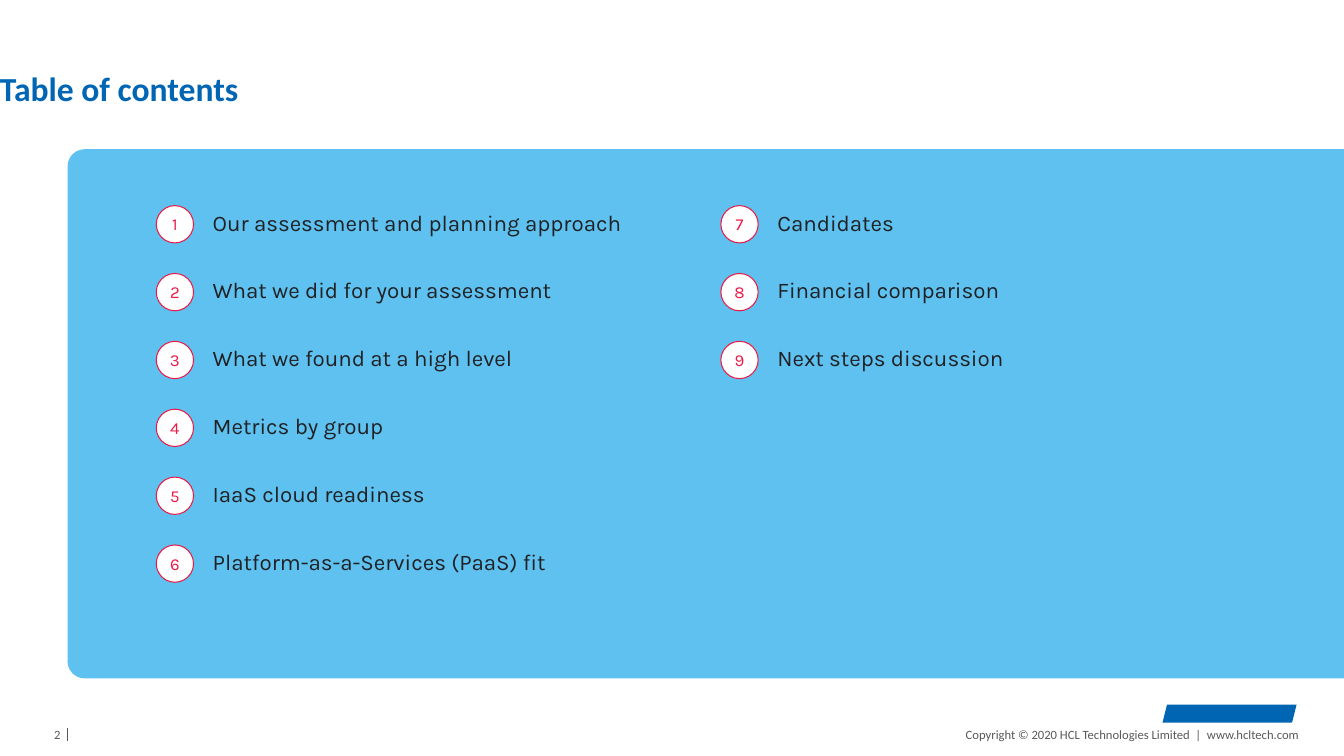
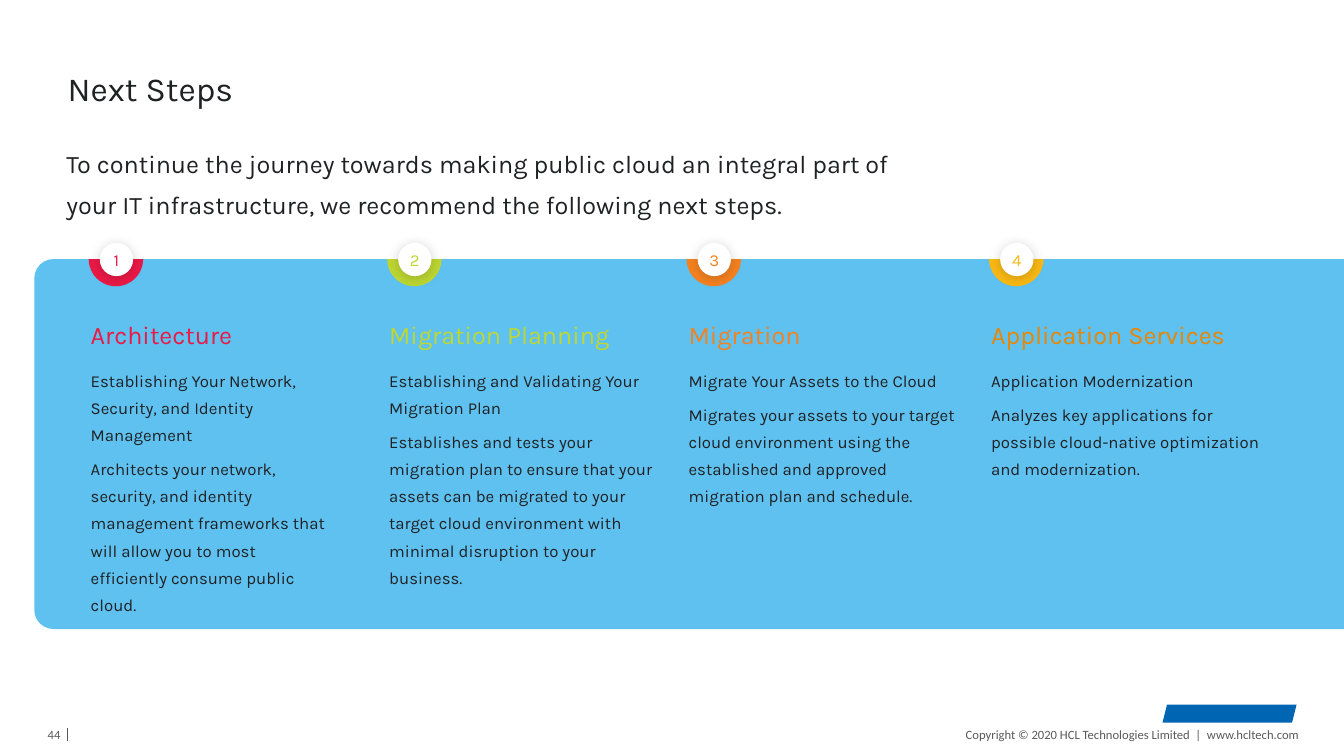
from lxml import etree
from pptx import Presentation
from pptx.dml.color import RGBColor
from pptx.enum.shapes import MSO_CONNECTOR as LINE, MSO_SHAPE as SHAPE
from pptx.enum.text import MSO_ANCHOR as ANCHOR, PP_ALIGN as ALIGN
from pptx.oxml.ns import qn
from pptx.util import Pt

PX = 9144
W, H = 1333, 750
COLORS = {
    "white": "FFFFFF", "ink": "202124", "gray": "595959", "brand": "0066B3",
    "panel": "5EC1EF", "red": "EB1946", "lime": "BED732", "orange": "F58220",
    "yellow": "FAB914", "amber": "EA8600",
}
TOPICS = [
    ["Our assessment and planning approach", "What we did for your assessment",
     "What we found at a high level", "Metrics by group",
     "IaaS cloud readiness", "Platform-as-a-Services (PaaS) fit"],
    ["Candidates", "Financial comparison", "Next steps discussion"],
]
INTRO = ("To continue the journey towards making public cloud an integral part of "
         "your IT infrastructure, we recommend the following next steps.")
STEPS = [
    (90, 241, "red", "red", "Architecture",
     "Establishing Your Network, Security, and Identity Management",
     "Architects your network, security, and identity management frameworks "
     "that will allow you to most efficiently consume public cloud."),
    (386, 268, "lime", "lime", "Migration Planning",
     "Establishing and Validating Your Migration Plan",
     "Establishes and tests your migration plan to ensure that your assets can be "
     "migrated to your target cloud environment with minimal disruption to your business."),
    (683, 268, "orange", "orange", "Migration",
     "Migrate Your Assets to the Cloud",
     "Migrates your assets to your target cloud environment using the "
     "established and approved migration plan and schedule."),
    (983, 268, "yellow", "amber", "Application Services",
     "Application Modernization",
     "Analyzes key applications for possible cloud-native optimization and modernization."),
]


def emu(*lengths):
    """Turn px lengths into EMU."""
    return [round(n * PX) for n in lengths]


def rgb(name):
    """Look up a named colour."""
    return RGBColor.from_string(COLORS[name])


def style(p, size, color="ink", font="Karla", bold=False, align=ALIGN.LEFT,
          spacing=None, before=None):
    """Set the look of one paragraph."""
    p.alignment = align
    p.line_spacing = spacing
    p.space_before = before
    p.font.size = Pt(size)
    p.font.name = font
    p.font.bold = bold
    p.font.color.rgb = rgb(color)


def frame(sp, anchor=ANCHOR.TOP):
    """Prepare a wrapping text frame without insets."""
    tf = sp.text_frame
    tf.word_wrap = True
    tf.vertical_anchor = anchor
    tf.margin_left = tf.margin_top = tf.margin_right = tf.margin_bottom = 0
    return tf


def add_text(s, box, text, size, anchor=ANCHOR.TOP, **look):
    """Add a one-paragraph text box."""
    tf = frame(s.shapes.add_textbox(*emu(*box)), anchor)
    p = tf.paragraphs[0]
    p.text = text
    style(p, size, **look)


def add_shape(s, kind, box, fill, line=None):
    """Add a flat preset shape."""
    sp = s.shapes.add_shape(kind, *emu(*box))
    sp.shadow.inherit = False
    sp.fill.solid()
    sp.fill.fore_color.rgb = rgb(fill)
    if line:
        sp.line.color.rgb = rgb(line)
        sp.line.width = Pt(0.75)
    else:
        sp.line.fill.background()
    return sp


def add_panel(s, box, radius):
    """Add the blue panel with rounded left corners."""
    x, y, w, h = box
    turned = (x + (w - h) / 2, y + (h - w) / 2, h, w)
    sp = add_shape(s, SHAPE.ROUND_2_SAME_RECTANGLE, turned, "panel")
    sp.rotation = 270
    sp.adjustments[0] = radius / h


def add_number(s, x, y, size, number, color, line=None):
    """Add a white disc with a centred number."""
    sp = add_shape(s, SHAPE.OVAL, (x, y, size, size), "white", line)
    p = frame(sp, ANCHOR.MIDDLE).paragraphs[0]
    p.text = str(number)
    style(p, 12, color, align=ALIGN.CENTER)
    return sp


def add_soft_shadow(sp):
    """Give a shape a faint shadow below."""
    effects = sp._element.spPr.find(qn("a:effectLst"))
    shadow = etree.SubElement(effects, qn("a:outerShdw"), blurRad=str(Pt(9)),
                              dist=str(Pt(1.5)), dir="5400000", rotWithShape="0")
    color = etree.SubElement(shadow, qn("a:srgbClr"), val="000000")
    etree.SubElement(color, qn("a:alpha"), val="18000")


def add_footer(s, number):
    """Add the page number, divider, mark and copyright line."""
    look = dict(anchor=ANCHOR.MIDDLE, color="gray", font="Calibri", align=ALIGN.RIGHT)
    add_text(s, (30, 721, 30, 15), str(number), 9, **look)
    add_text(s, (943, 721, 345, 15),
             "Copyright © 2020 HCL Technologies Limited  |  www.hcltech.com", 9, **look)
    add_shape(s, SHAPE.PARALLELOGRAM, (1153, 699, 133, 18), "brand")
    divider = s.shapes.add_connector(LINE.STRAIGHT, *emu(67, 722, 67, 735))
    divider.line.color.rgb = rgb("gray")
    divider.line.width = Pt(0.75)
    etree.SubElement(divider._element.spPr, qn("a:effectLst"))


def add_slide(prs, number, title, x, panel, radius, **look):
    """Add a slide with the shared title, panel and footer."""
    s = prs.slides.add_slide(prs.slide_layouts[6])
    add_footer(s, number)
    add_panel(s, panel, radius)
    add_text(s, (x, 67, 580, 40), title, 24, **look)
    return s


def add_topics(s, box, topics, first, rows=6):
    """Add a column of numbered topics."""
    x, y, w, h = box
    for i, topic in enumerate(topics):
        top = y + h * i / rows
        add_number(s, x, top, 37, first + i, "red", "red")
        add_text(s, (x + 56, top + 3, w - 56, 33), topic, 16)


def add_step(s, box, number, color, heading_color, texts):
    """Add one step: its badge on the panel edge and its text."""
    x, y, w, h = box
    half = add_shape(s, SHAPE.PIE, (x - 2, y - 27, 54, 54), color)
    half.adjustments[0] = 0
    half.adjustments[1] = 108
    add_soft_shadow(add_number(s, x + 9, y - 16, 33, number, color))
    tf = frame(s.shapes.add_textbox(*emu(x, y + 49, w, h - 49)))
    looks = [(18, heading_color, None), (12, "ink", Pt(10)), (12, "ink", Pt(5))]
    for i, (text, (size, ink, before)) in enumerate(zip(texts, looks)):
        p = tf.add_paragraph() if i else tf.paragraphs[0]
        p.text = text
        style(p, size, ink, spacing=1.35, before=before)


def build_contents(prs):
    """Build the table of contents."""
    s = add_slide(prs, 2, "Table of contents", 0, (67, 148, W - 67, 525), 17,
                  color="brand", font="Calibri", bold=True)
    first = 1
    for x, topics in zip((155, 715), TOPICS):
        add_topics(s, (x, 204, 465, 404), topics, first)
        first += len(topics)


def build_next_steps(prs):
    """Build the four next steps."""
    top = 257
    s = add_slide(prs, 44, "Next Steps", 67, (34, top, W - 34, 367), 19)
    add_text(s, (66, 137, 830, 80), INTRO, 18, spacing=1.35)
    for number, (x, w, color, heading_color, *texts) in enumerate(STEPS, 1):
        add_step(s, (x, top, w, 350), number, color, heading_color, texts)


def main():
    """Build and save the presentation."""
    prs = Presentation()
    prs.slide_width, prs.slide_height = emu(W, H)
    build_contents(prs)
    build_next_steps(prs)
    prs.save("out.pptx")


if __name__ == "__main__":
    main()
